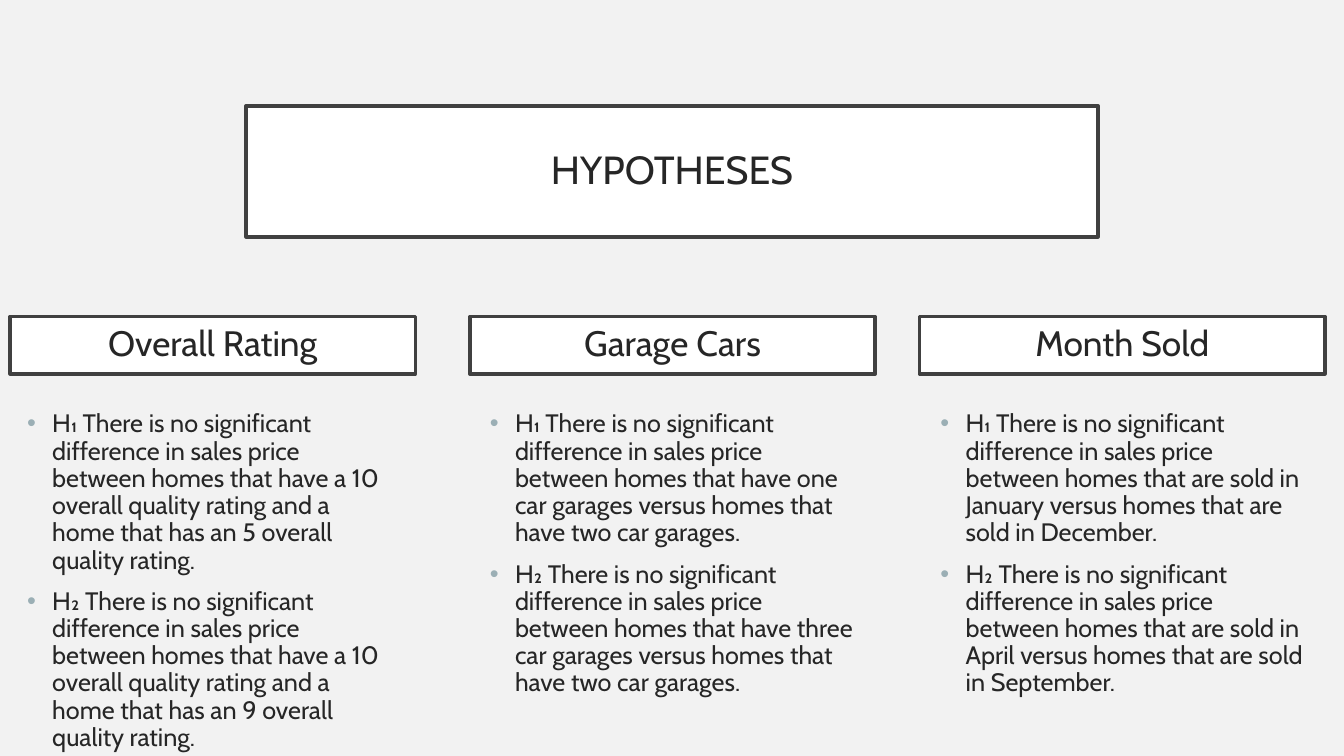
from lxml import etree
from pptx import Presentation
from pptx.dml.color import RGBColor
from pptx.enum.shapes import MSO_SHAPE
from pptx.enum.text import MSO_ANCHOR, PP_ALIGN
from pptx.oxml.ns import qn
from pptx.util import Inches, Pt

RECTANGLE = MSO_SHAPE.RECTANGLE
MIDDLE = MSO_ANCHOR.MIDDLE
TOP = MSO_ANCHOR.TOP
CENTER = PP_ALIGN.CENTER
LEFT = PP_ALIGN.LEFT

STEM = "There is no significant difference in sales price between homes that"
COLUMNS = [
    ("Overall Rating", 0.1, 0.17, [
        "have a 10 overall quality rating and a home that has an 5 overall quality rating.",
        "have a 10 overall quality rating and a home that has an 9 overall quality rating.",
    ]),
    ("Garage Cars", 4.66, 4.76, [
        "have one car garages versus homes that have two car garages.",
        "have three car garages versus homes that have two car garages.",
    ]),
    ("Month Sold", 9.12, 9.23, [
        "are sold in January versus homes that are sold in December.",
        "are sold in April versus homes that are sold in September.",
    ]),
]


def color(value):
    return RGBColor.from_string(value)


def write(paragraph, text, size, font, ink, align=LEFT, before=0):
    paragraph.alignment = align
    paragraph.line_spacing = 0.9
    paragraph.space_before = Pt(before)
    span = paragraph.add_run()
    span.text = text
    span.font.size = Pt(size)
    span.font.name = font
    span.font.color.rgb = color(ink)


class HypothesisPage:
    """Draws framed titles and bullet lists on one slide in a shared style."""

    font = "Cabin"
    ink = "262626"
    frame = "404040"
    paper = "FFFFFF"
    backdrop = "F2F2F2"
    bullet = "9BAFB5"

    def __init__(self, deck):
        self.page = deck.slides.add_slide(deck.slide_layouts[6])
        fill = self.page.background.fill
        fill.solid()
        fill.fore_color.rgb = color(self.backdrop)

    def set_frame(self, box, side, edge, anchor):
        frame = box.text_frame
        frame.word_wrap = True
        frame.vertical_anchor = anchor
        frame.margin_left = frame.margin_right = Inches(side)
        frame.margin_top = frame.margin_bottom = Inches(edge)
        return frame

    def add_title(self, text, left, top, width, height, size):
        box = self.page.shapes.add_shape(
            RECTANGLE, Inches(left), Inches(top), Inches(width), Inches(height))
        box.shadow.inherit = False
        box.fill.solid()
        box.fill.fore_color.rgb = color(self.paper)
        box.line.color.rgb = color(self.frame)
        box.line.width = Pt(2.5)
        frame = self.set_frame(box, 0.2, 0.2, MIDDLE)
        write(frame.paragraphs[0], text, size, self.font, self.ink, align=CENTER)

    def add_bullets(self, items, left, top, width, height):
        box = self.page.shapes.add_textbox(
            Inches(left), Inches(top), Inches(width), Inches(height))
        frame = self.set_frame(box, 0.1, 0.05, TOP)
        for index, text in enumerate(items):
            para = frame.add_paragraph() if index else frame.paragraphs[0]
            write(para, text, 18, self.font, self.ink, before=10 if index else 0)
            self.mark(para)

    def mark(self, para):
        properties = para._p.get_or_add_pPr()
        properties.set("marL", str(Inches(0.25)))
        properties.set("indent", str(Inches(-0.25)))
        tint = etree.SubElement(properties, qn("a:buClr"))
        etree.SubElement(tint, qn("a:srgbClr"), val=self.bullet)
        etree.SubElement(properties, qn("a:buFont"), typeface="Arial")
        etree.SubElement(properties, qn("a:buChar"), char="•")


def main():
    deck = Presentation()
    deck.slide_width = Inches(13.33)
    deck.slide_height = Inches(7.5)
    page = HypothesisPage(deck)
    page.add_title("HYPOTHESES", 2.44, 1.05, 8.45, 1.3, 28)
    for heading, heading_left, list_left, endings in COLUMNS:
        page.add_title(heading, heading_left, 3.14, 4.02, 0.57, 25.2)
        items = [f"{label} {STEM} {ending}" for label, ending in zip(("H₁", "H₂"), endings)]
        page.add_bullets(items, list_left, 4.03, 3.8, 3.66)
    deck.save("out.pptx")


if __name__ == "__main__":
    main()
